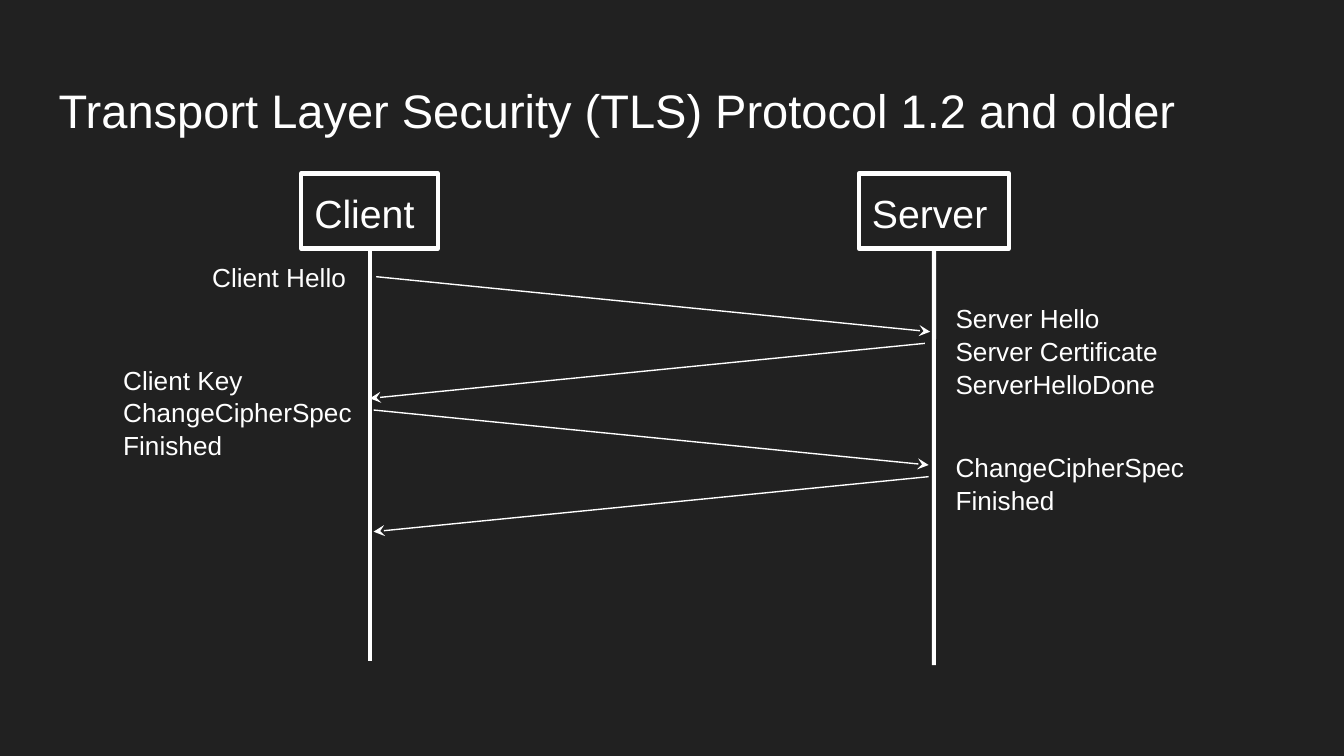
from dataclasses import dataclass

from lxml import etree
from pptx import Presentation
from pptx.dml.color import RGBColor
from pptx.enum.shapes import MSO_CONNECTOR, MSO_SHAPE
from pptx.enum.text import MSO_ANCHOR, MSO_AUTO_SIZE, PP_ALIGN
from pptx.oxml.ns import qn
from pptx.util import Cm, Pt

STRAIGHT = MSO_CONNECTOR.STRAIGHT
RECTANGLE = MSO_SHAPE.RECTANGLE
TOP, MIDDLE = MSO_ANCHOR.TOP, MSO_ANCHOR.MIDDLE
LEFT = PP_ALIGN.LEFT
FIXED, GROW = MSO_AUTO_SIZE.NONE, MSO_AUTO_SIZE.SHAPE_TO_FIT_TEXT
BOTTOM_SIDE = 2


@dataclass(frozen=True)
class Theme:
    background: RGBColor = RGBColor(0x21, 0x21, 0x21)
    ink: RGBColor = RGBColor(0xFF, 0xFF, 0xFF)
    font: str = "Arial"
    title_size: float = 25.2
    party_size: float = 21
    label_size: float = 14
    heavy_line: float = 2.25
    thin_line: float = 0.75
    line_spacing: float = 1.05


THEME = Theme()

PARTY_TOP, PARTY_HEIGHT = 3.28, 1.42
PARTIES = [
    ("Client", 5.69, 2.59, 12.5),
    ("Server", 16.23, 2.84, 12.57),
]

FIRST_MESSAGE, MESSAGE_GAP, MESSAGE_DROP = 5.23, 1.26, 1.04
MESSAGES = [(7.11, 17.58), (17.48, 6.99), (7.06, 17.55), (17.55, 7.06)]

LABELS = [
    ("Client Hello", 3.76, 4.67, 3.1, 1.12),
    ("Server Hello\nServer Certificate\nServerHelloDone", 17.81, 5.44, 6.05, 2.31),
    ("Client Key\nChangeCipherSpec\nFinished", 2.08, 6.6, 6.05, 2.31),
    ("ChangeCipherSpec\nFinished", 17.81, 8.26, 6.05, 1.7),
]


def write_text(shape, text, size, anchor=TOP, autosize=GROW):
    frame = shape.text_frame
    frame.text = text
    frame.word_wrap = True
    frame.auto_size = autosize
    frame.vertical_anchor = anchor
    frame.margin_left = frame.margin_right = Cm(0.25)
    frame.margin_top = frame.margin_bottom = Cm(0.25)
    for paragraph in frame.paragraphs:
        paragraph.alignment = LEFT
        paragraph.line_spacing = THEME.line_spacing
        paragraph.font.name = THEME.font
        paragraph.font.size = Pt(size)
        paragraph.font.color.rgb = THEME.ink


def set_title(slide, text):
    title = slide.shapes.title
    title.left, title.top = Cm(0.86), Cm(1.24)
    title.width, title.height = Cm(23.67), Cm(1.6)
    write_text(title, text, THEME.title_size, anchor=MIDDLE, autosize=FIXED)


def add_line(slide, start, end, weight, arrow=False):
    connector = slide.shapes.add_connector(
        STRAIGHT, Cm(start[0]), Cm(start[1]), Cm(end[0]), Cm(end[1])
    )
    connector.line.color.rgb = THEME.ink
    connector.line.width = Pt(weight)
    if arrow:
        outline = connector.line._get_or_add_ln()
        etree.SubElement(outline, qn("a:tailEnd"), type="stealth", w="med", len="med")
    etree.SubElement(connector._element.spPr, qn("a:effectLst"))
    return connector


def add_party(slide, name, left, width, lifeline_end):
    box = slide.shapes.add_shape(
        RECTANGLE, Cm(left), Cm(PARTY_TOP), Cm(width), Cm(PARTY_HEIGHT)
    )
    box.shadow.inherit = False
    box.fill.background()
    box.line.color.rgb = THEME.ink
    box.line.width = Pt(THEME.heavy_line)
    write_text(box, name, THEME.party_size)

    center = left + width / 2
    lifeline = add_line(
        slide,
        (center, PARTY_TOP + PARTY_HEIGHT),
        (center, lifeline_end),
        THEME.heavy_line,
    )
    lifeline.begin_connect(box, BOTTOM_SIDE)


def add_label(slide, text, left, top, width, height):
    label = slide.shapes.add_textbox(Cm(left), Cm(top), Cm(width), Cm(height))
    write_text(label, text, THEME.label_size)


def main():
    deck = Presentation()
    deck.slide_width, deck.slide_height = Cm(25.4), Cm(14.29)
    slide = deck.slides.add_slide(deck.slide_layouts.get_by_name("Title Only"))
    slide.background.fill.solid()
    slide.background.fill.fore_color.rgb = THEME.background

    set_title(slide, "Transport Layer Security (TLS) Protocol 1.2 and older")
    for party in PARTIES:
        add_party(slide, *party)
    for step, (sender, receiver) in enumerate(MESSAGES):
        sent = FIRST_MESSAGE + step * MESSAGE_GAP
        add_line(
            slide,
            (sender, sent),
            (receiver, sent + MESSAGE_DROP),
            THEME.thin_line,
            arrow=True,
        )
    for label in LABELS:
        add_label(slide, *label)

    deck.save("out.pptx")


if __name__ == "__main__":
    main()
